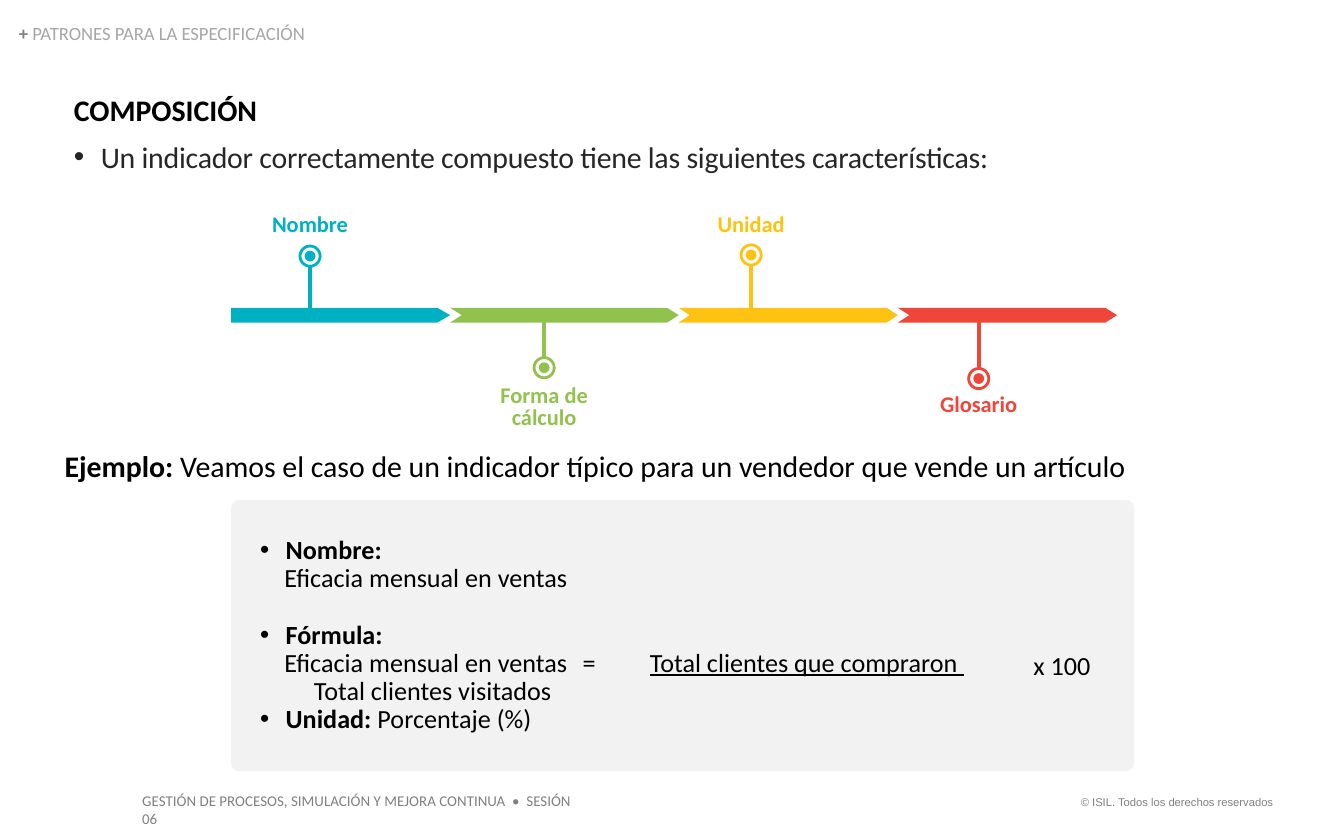
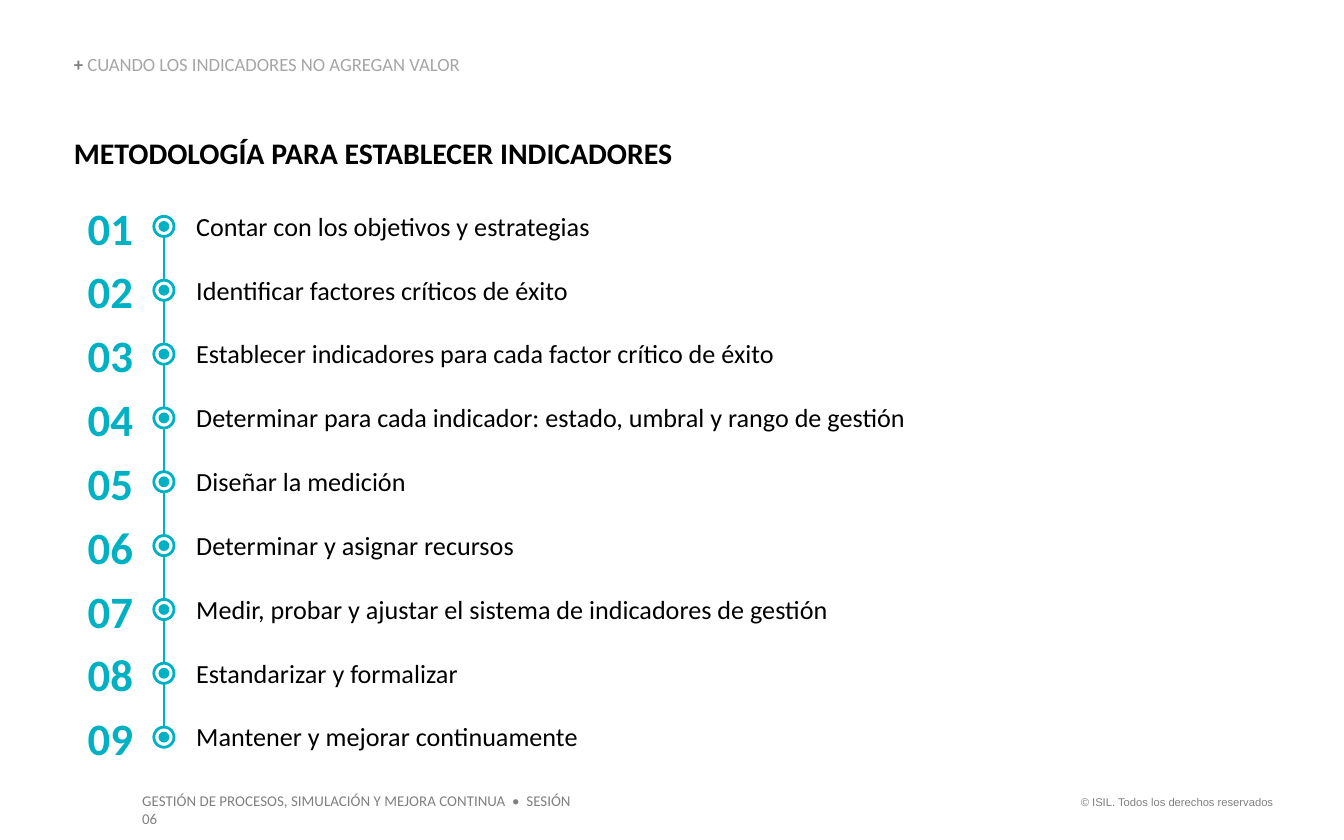
from lxml import etree
from pptx import Presentation
from pptx.dml.color import RGBColor
from pptx.enum.shapes import MSO_CONNECTOR, MSO_SHAPE
from pptx.enum.text import MSO_ANCHOR, PP_ALIGN
from pptx.oxml.ns import qn
from pptx.util import Pt

LEFT, CENTER, RIGHT, JUSTIFY = PP_ALIGN.LEFT, PP_ALIGN.CENTER, PP_ALIGN.RIGHT, PP_ALIGN.JUSTIFY
TOP, MIDDLE, BOTTOM = MSO_ANCHOR.TOP, MSO_ANCHOR.MIDDLE, MSO_ANCHOR.BOTTOM
OVAL, ROUND = MSO_SHAPE.OVAL, MSO_SHAPE.ROUNDED_RECTANGLE
PLATE, CHEVRON = MSO_SHAPE.PENTAGON, MSO_SHAPE.CHEVRON
STRAIGHT = MSO_CONNECTOR.STRAIGHT

TEAL, GREEN, YELLOW, RED = "00B1C3", "92C24E", "FEC212", "EE4639"
BLACK, INK, GRAY, SILVER, PANEL, WHITE = "000000", "262626", "808080", "A6A6A6", "F2F2F2", "FFFFFF"
FONT = "Calibri"
MARGIN = 39.6

# label, bar shape, bar width, bar adjustment, marker x, marker y, label top, label height, colour
STAGES = [
    ("Nombre", PLATE, 117.4, 0.87, 166.1, 137.2, 111.6, 16.6, TEAL),
    ("Forma de cálculo", CHEVRON, 122.4, 0.78, 291.5, 197, 201.6, 33.8, GREEN),
    ("Unidad", CHEVRON, 117.4, 0.75, 402.4, 136.6, 111.6, 16.6, YELLOW),
    ("Glosario", CHEVRON, 117.4, 0.78, 524.3, 202.8, 208.1, 16.6, RED),
]
STEPS = [
    "Contar con los objetivos y estrategias",
    "Identificar factores críticos de éxito",
    "Establecer indicadores para cada factor crítico de éxito",
    "Determinar para cada indicador: estado, umbral y rango de gestión",
    "Diseñar la medición",
    "Determinar y asignar recursos",
    "Medir, probar y ajustar el sistema de indicadores de gestión",
    "Estandarizar y formalizar",
    "Mantener y mejorar continuamente",
]


def rgb(code):
    return RGBColor.from_string(code)


def put(target, values):
    for name, value in values.items():
        setattr(target, name, value)


def style(size, color=BLACK, name=FONT, **more):
    """Return the format values of a run."""
    return {"size": Pt(size), "name": name, "color": color, **more}


def add_para(frame, runs, indent=None, bullet=False, tabs=(), **form):
    """Write runs of (text, style); indent is (left margin, first line)."""
    para = frame.paragraphs[0]
    if para.runs:
        para = frame.add_paragraph()
    props = para._p.get_or_add_pPr()
    if indent:
        props.set("marL", str(Pt(indent[0])))
        props.set("indent", str(Pt(indent[1])))
    if bullet:
        etree.SubElement(props, qn("a:buFont"), typeface="Arial")
        etree.SubElement(props, qn("a:buChar"), char="•")
    if tabs:
        stops = etree.SubElement(props, qn("a:tabLst"))
        for stop in tabs:
            etree.SubElement(stops, qn("a:tab"), pos=str(Pt(stop)), algn="l")
    put(para, form)
    for text, look in runs:
        if text == "\v":
            para.add_line_break()
            continue
        run = para.add_run()
        run.text = text
        values = dict(look)
        run.font.color.rgb = rgb(values.pop("color"))
        space = values.pop("space", None)
        put(run.font, values)
        if space:
            run._r.get_or_add_rPr().set("spc", str(space))


def set_frame(shape, anchor, inset=None):
    frame = shape.text_frame
    put(frame, {"word_wrap": True, "vertical_anchor": anchor})
    if inset is not None:
        for side in ("left", "top", "right", "bottom"):
            setattr(frame, "margin_" + side, Pt(inset))
    return frame


def add_box(slide, x, y, w, h, anchor=TOP, inset=0):
    box = slide.shapes.add_textbox(Pt(x), Pt(y), Pt(w), Pt(h))
    return set_frame(box, anchor, inset)


def add_form(shapes, kind, x, y, w, h, fill=None, line=None, adj=None):
    form = shapes.add_shape(kind, Pt(x), Pt(y), Pt(w), Pt(h))
    form.shadow.inherit = False
    if fill:
        form.fill.solid()
        form.fill.fore_color.rgb = rgb(fill)
    else:
        form.fill.background()
    if line:
        form.line.color.rgb = rgb(line)
        form.line.width = Pt(1.5)
    else:
        form.line.fill.background()
    if adj is not None:
        form.adjustments[0] = adj
    return form


def add_stem(slide, x, start, end, color, width):
    """Draw a vertical line."""
    stem = slide.shapes.add_connector(STRAIGHT, Pt(x), Pt(start), Pt(x), Pt(end))
    stem.line.color.rgb = rgb(color)
    stem.line.width = Pt(width)
    etree.SubElement(stem._element.spPr, qn("a:effectLst"))


def add_mark(slide, x, y, color):
    """Draw a ring with a dot, centred on a point."""
    group = slide.shapes.add_group_shape()
    for size, fill, line in ((10.8, WHITE, color), (5.8, color, None)):
        add_form(group.shapes, OVAL, x - size / 2, y - size / 2, size, size, fill, line)


def add_base(deck, topic, x, y):
    """Add a slide with its footers and topic line."""
    slide = deck.slides.add_slide(deck.slide_layouts[6])
    rights = add_box(slide, 567.4, 422.6, 121.7, 14.4, inset=None)
    add_para(rights, [("© ISIL. Todos los derechos reservados", style(6, GRAY, "Arial"))],
             alignment=RIGHT)
    course = add_box(slide, 69.1, 420.5, 254.2, 17.3, inset=None)
    add_para(course, [("GESTIÓN DE PROCESOS, SIMULACIÓN Y MEJORA CONTINUA  •  SESIÓN 06",
                       style(8, GRAY))])
    head = add_box(slide, x, y, 240, 10.8, BOTTOM)
    add_para(head, [("+ ", style(10, GRAY, bold=True)), (topic, style(10, SILVER))],
             line_spacing=0.9)
    return slide


def add_title(slide, y, text):
    frame = add_box(slide, MARGIN, y, 638, 20)
    add_para(frame, [(text, style(16, bold=True))], space_after=Pt(6))
    return frame


def add_line(slide):
    """Draw the timeline of the four parts of an indicator."""
    x = 123.8
    for _, kind, width, adj, *_, color in STAGES:
        add_form(slide.shapes, kind, x, 164.9, width, 7.9, color, adj=adj)
        x += width
    for name, *_, mid, y, top, high, color in STAGES:
        add_stem(slide, mid, 169 if y < 169 else 171.4, y, color, 2.25)
        add_mark(slide, mid, y, color)
        label = add_form(slide.shapes, ROUND, mid - 35.3, top, 70.6, high)
        add_para(set_frame(label, MIDDLE), [(name, style(12, color, bold=True))],
                 alignment=CENTER, line_spacing=0.8 if high > 20 else 1.0)


def add_case(slide):
    """Draw the panel with the worked example."""
    panel = add_form(slide.shapes, ROUND, 123.8, 267.8, 483.8, 145.4, PANEL, adj=0.03)
    frame = set_frame(panel, MIDDLE)
    plain, bold = style(14), style(14, bold=True)
    value = "Eficacia mensual en ventas"
    item = {"indent": (20.9, -13.7), "bullet": True, "alignment": JUSTIFY, "line_spacing": 0.9}
    detail = {"indent": (0, 20.2), "alignment": LEFT, "line_spacing": 0.9}
    add_para(frame, [("Nombre:", bold)], **item)
    add_para(frame, [(value, plain)], **detail)
    add_para(frame, [("Fórmula:", bold)], space_before=Pt(15.2), **item)
    add_para(frame, [(value + "\t=\t", plain),
                     ("Total clientes que compraron ", style(14, underline=True)),
                     ("\v", None), ("\tTotal clientes visitados", plain)],
             tabs=(236.5, 253.5), **detail)
    add_para(frame, [("Unidad: ", bold), ("Porcentaje (%)", plain)],
             space_after=Pt(10), **item)
    factor = add_box(slide, 546.5, 342, 49, 25.9, inset=None)
    add_para(factor, [("x 100", plain)], line_spacing=1.15)


def add_steps(slide):
    first, pitch = 121.3, 34.2
    add_stem(slide, 87.8, first, first + pitch * (len(STEPS) - 1), TEAL, 1)
    for i, step in enumerate(STEPS):
        y = first + pitch * i
        number = add_box(slide, MARGIN, y - 14, 31.7, 28.8, MIDDLE)
        add_para(number, [(f"{i + 1:02}", style(24, TEAL, bold=True))], alignment=RIGHT)
        add_mark(slide, 87.8, y, TEAL)
        add_para(add_box(slide, 105.1, y - 9, 392.4, 17.3, MIDDLE), [(step, style(14))])


def main():
    deck = Presentation()
    put(deck, {"slide_width": Pt(720), "slide_height": Pt(450)})

    slide = add_base(deck, "PATRONES PARA LA ESPECIFICACIÓN", 10.1, 13)
    frame = add_title(slide, 49, "COMPOSICIÓN")
    add_para(frame, [("Un indicador correctamente compuesto tiene las siguientes características:",
                      style(16, INK, space=-10))], indent=(14.4, -14.4), bullet=True)
    add_line(slide)
    add_case(slide)
    example = add_box(slide, 34.6, 239.8, 587.5, 19.4)
    add_para(example, [("Ejemplo: ", style(16, bold=True)),
                       ("Veamos el caso de un indicador típico para un vendedor que vende un artículo",
                        style(16))])

    slide = add_base(deck, "CUANDO LOS INDICADORES NO AGREGAN VALOR", MARGIN, 29.5)
    add_title(slide, 72, "METODOLOGÍA PARA ESTABLECER INDICADORES")
    add_steps(slide)
    deck.save("out.pptx")


if __name__ == "__main__":
    main()
